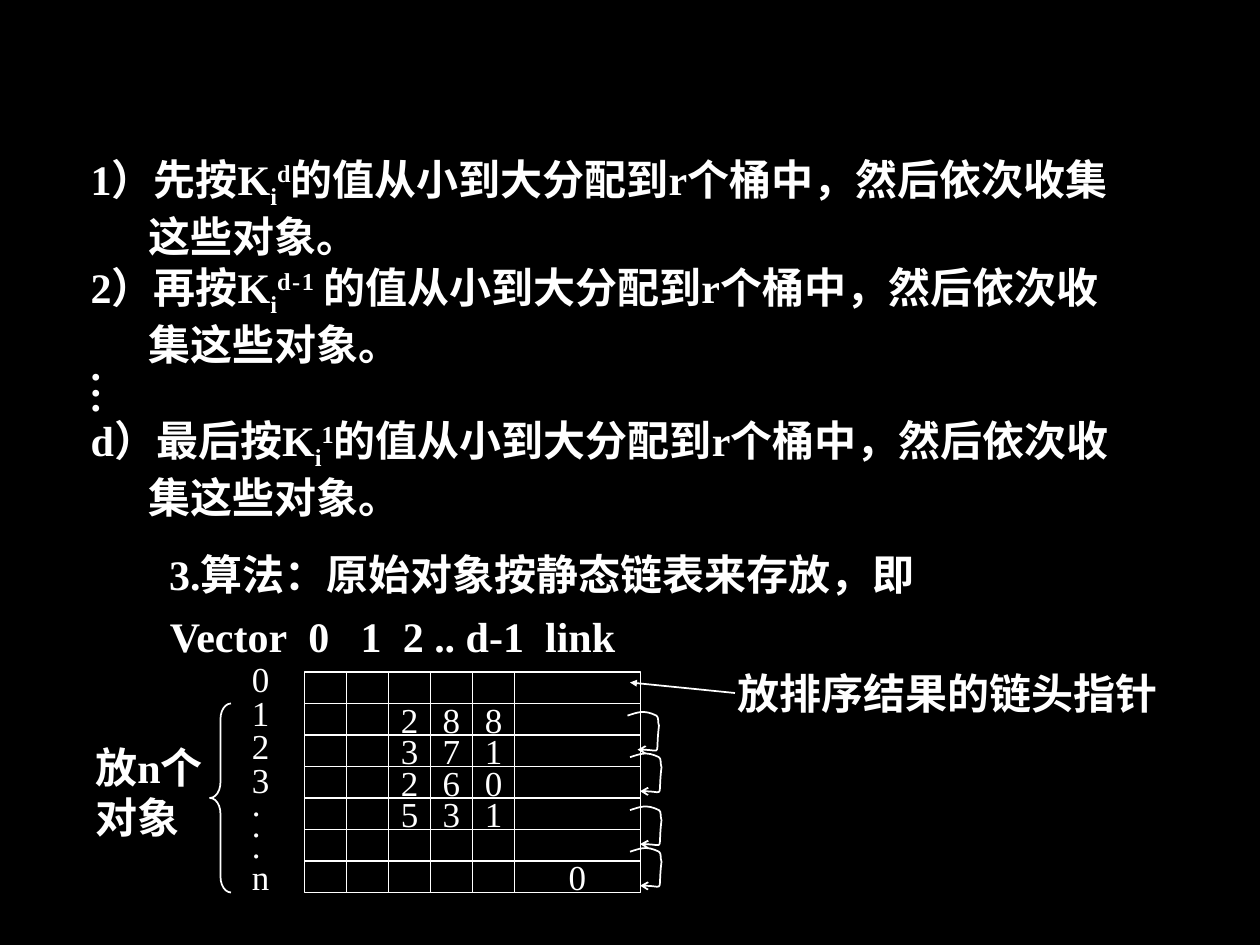
import pptx
import pptx.dml.color
import pptx.enum.shapes
import pptx.enum.text
import pptx.oxml.ns
import pptx.util
from dataclasses import dataclass
from lxml import etree

qn = pptx.oxml.ns.qn
ALIGN = pptx.enum.text.PP_ALIGN
ANCHOR = pptx.enum.text.MSO_ANCHOR
SHAPE = pptx.enum.shapes.MSO_SHAPE


@dataclass(frozen=True)
class Theme:
    ink: str = "FFFFFF"
    background: str = "000000"
    font: str = "Times New Roman"
    heading: float = 24
    label: float = 20
    line: float = 1


@dataclass(frozen=True)
class Box:
    """A place on the slide grid of 120 columns and 90 rows."""
    left: float
    top: float
    width: float
    height: float

    def lengths(self) -> tuple:
        return tuple(unit(v) for v in (self.left, self.top, self.width, self.height))


@dataclass(frozen=True)
class Run:
    """A text with its baseline shift in percent and tracking in points."""
    text: str
    baseline: int = 0
    tracking: float = 0


@dataclass(frozen=True)
class Line:
    runs: tuple
    spacing: float = 1.0
    indent: float = 0


THEME = Theme()
CELL_WIDTH, CELL_HEIGHT, LINK_WIDTH = 4, 3, 12
TABLE_LEFT, TABLE_TOP = 29, 64
VALUES = ["", "288", "371", "260", "531", "", ""]
# Column titles, each with the extra width of the space after it
HEADER = [("Vector", 6), ("0", 12), ("1", 6), ("2", 0), ("..", 0), ("d-1", 6)]
LOOP_STARTS = [(59.76, 68.16), (60, 72.12), (60, 77.16), (60, 81.12)]
LOOP_CURVES = [
    (0.96, -0.3), (1.56, -0.6), (2.76, 0),
    (3, 0.12), (2.88, 0.72), (3, 0.96),
    (2.64, 3.84), (3.48, 3.24), (0.96, 3.24),
]


def unit(value: float) -> int:
    return pptx.util.Inches(value / 12)


def color(value: str):
    return pptx.dml.color.RGBColor.from_string(value)


def plain(text: str, spacing: float = 1.0, indent: float = 0) -> Line:
    return Line((Run(text),), spacing, indent)


def step(number: str, power: Run, rest: str) -> Line:
    return Line((Run(f"{number}按K"), Run("i", -25), power, Run(rest)))


def header_line() -> Line:
    runs = [run for title, gap in HEADER for run in (Run(title), Run(" ", 0, gap))]
    return Line((*runs, Run("link")))


def add_run(paragraph, content: Run, size: float, bold: bool) -> None:
    run = paragraph.add_run()
    run.text = content.text
    run.font.name = THEME.font
    run.font.size = pptx.util.Pt(size)
    run.font.bold = bold
    run.font.color.rgb = color(THEME.ink)
    if content.baseline:
        run.font._element.set("baseline", str(content.baseline * 1000))
    if content.tracking:
        run.font._element.set("spc", str(int(content.tracking * 100)))


def write(shape, box: Box, lines: list, size: float = THEME.heading,
          bold: bool = True) -> None:
    """Place a text shape and fill it line by line."""
    shape.left, shape.top, shape.width, shape.height = box.lengths()
    frame = shape.text_frame
    frame.word_wrap = True
    frame.auto_size = pptx.enum.text.MSO_AUTO_SIZE.NONE
    frame.vertical_anchor = ANCHOR.TOP
    for index, line in enumerate(lines):
        paragraph = frame.add_paragraph() if index else frame.paragraphs[0]
        properties = paragraph._p.get_or_add_pPr()
        properties.set("marL", str(unit(line.indent)))
        properties.set("indent", "0")
        etree.SubElement(properties, qn("a:buNone"))
        paragraph.alignment = ALIGN.LEFT
        paragraph.space_before = pptx.util.Pt(0)
        paragraph.line_spacing = line.spacing
        for content in line.runs:
            add_run(paragraph, content, size, bold)


def style_line(shape, arrow: str = "") -> None:
    shape.line.color.rgb = color(THEME.ink)
    shape.line.width = pptx.util.Pt(THEME.line)
    if arrow:
        etree.SubElement(shape.line._get_or_add_ln(), qn("a:tailEnd"),
                         type=arrow, w="sm", len="sm")


def add_outline(slide, kind, box: Box):
    """Add an unfilled preset shape."""
    shape = slide.shapes.add_shape(kind, *box.lengths())
    shape.shadow.inherit = False
    shape.fill.background()
    style_line(shape)
    return shape


def add_records(slide) -> None:
    """Draw the storage cells: five key cells and one link cell per record."""
    for row, digits in enumerate(VALUES):
        link = "0" if row == len(VALUES) - 1 else ""
        for column, text in enumerate(["", "", *digits.ljust(3), link]):
            cell = add_outline(slide, SHAPE.RECTANGLE, Box(
                TABLE_LEFT + column * CELL_WIDTH, TABLE_TOP + row * CELL_HEIGHT,
                CELL_WIDTH if column < 5 else LINK_WIDTH, CELL_HEIGHT))
            if text.strip():
                cell.text_frame.word_wrap = False
                cell.text_frame.vertical_anchor = ANCHOR.MIDDLE
                paragraph = cell.text_frame.paragraphs[0]
                paragraph.alignment = ALIGN.CENTER
                add_run(paragraph, Run(text), THEME.label, False)


def add_loop(slide, start: tuple) -> None:
    """Draw a curved link; every three points make one cubic curve."""
    left, top = start
    builder = slide.shapes.build_freeform(unit(left), unit(top))
    builder.add_line_segments(
        [(unit(left + x), unit(top + y)) for x, y in LOOP_CURVES], close=False)
    loop = builder.convert_to_shape()
    segments = list(loop._element.iter(qn("a:lnTo")))
    outline = segments[0].getparent()
    for index in range(0, len(segments), 3):
        curve = etree.SubElement(outline, qn("a:cubicBezTo"))
        for segment in segments[index:index + 3]:
            curve.append(segment[0])
            outline.remove(segment)
    loop.shadow.inherit = False
    loop.fill.background()
    style_line(loop, "arrow")


def main() -> None:
    presentation = pptx.Presentation()
    presentation.slide_width, presentation.slide_height = unit(120), unit(90)
    slide = presentation.slides.add_slide(presentation.slide_layouts[1])
    slide.background.fill.solid()
    slide.background.fill.fore_color.rgb = color(THEME.background)

    # Steps of the sort and the heading of the algorithm
    rest = "的值从小到大分配到r个桶中，然后依次收"
    tail = plain("集这些对象。", indent=5.5)
    write(slide.placeholders[1], Box(7.44, 14, 107, 41.2), [
        step("1）先", Run("d", 30), rest + "集"), plain("这些对象。", indent=5.5),
        step("2）再", Run("d-1 ", 30, 0.9), rest), tail,
        *[plain(".", 0.3)] * 3,
        step("d）最后", Run("1", 30), rest), tail])
    write(slide.shapes.title, Box(14.9, 51.6, 77, 6),
          [plain("3.算法：原始对象按静态链表来存放，即")])

    # Storage cells with column and row labels
    add_records(slide)
    numbers = [plain(n, 0.5 if n == "." else 0.8) for n in "0123...n"]
    labels = [
        (Box(15, 57.6, 48, 6), [header_line()], THEME.heading, True),
        (Box(22.8, 62.8, 4.1, 23.3), numbers, THEME.label, False),
        (Box(69.1, 63, 44, 6), [plain("放排序结果的链头指针")], THEME.heading, True),
        (Box(7.9, 70, 16, 10.8), [plain("放n个"), plain("对象")], THEME.heading, True),
    ]
    for box, lines, size, bold in labels:
        write(slide.shapes.add_textbox(*box.lengths()), box, lines, size, bold)

    # Links between records
    for start in LOOP_STARTS:
        add_loop(slide, start)

    # Pointer to the head of the list
    pointer = slide.shapes.add_connector(
        pptx.enum.shapes.MSO_CONNECTOR.STRAIGHT, unit(70), unit(66), unit(60), unit(65))
    style_line(pointer, "triangle")
    etree.SubElement(pointer._element.spPr, qn("a:effectLst"))

    # Brace around the n objects
    brace = add_outline(slide, SHAPE.LEFT_BRACE, Box(20, 67, 2, 18))
    brace.adjustments[0] = 0.75

    presentation.save("out.pptx")


if __name__ == "__main__":
    main()
